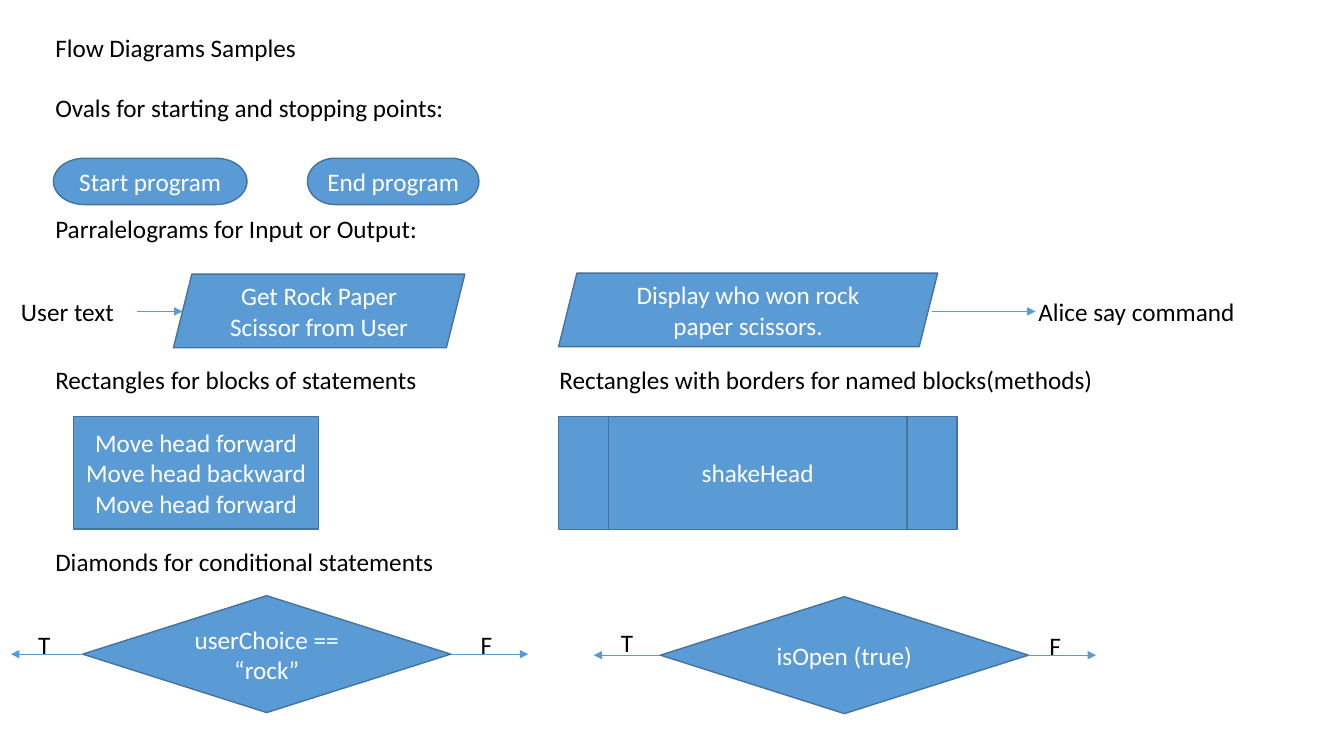
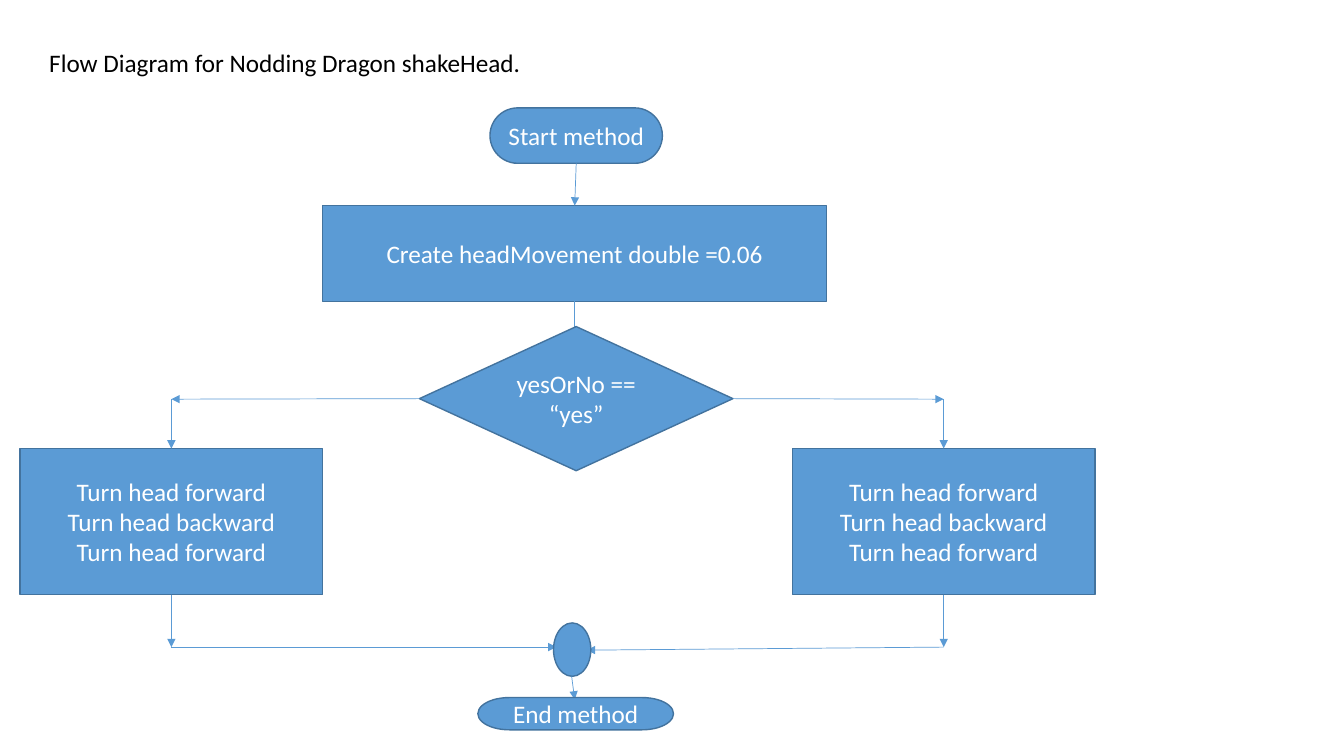
from lxml.etree import SubElement
from pptx import Presentation
from pptx.dml.color import RGBColor
from pptx.enum.shapes import MSO_CONNECTOR, MSO_SHAPE
from pptx.enum.text import MSO_ANCHOR, PP_ALIGN
from pptx.oxml.ns import qn
from pptx.util import Inches, Pt

BLUE = RGBColor(0x5B, 0x9B, 0xD5)
EDGE = RGBColor(0x43, 0x73, 0x9E)
BLACK = RGBColor(0, 0, 0)
WHITE = RGBColor(255, 255, 255)
FONT = "Calibri"
SIZE = Pt(18)

OVAL = MSO_SHAPE.FLOWCHART_TERMINATOR
SLANT = MSO_SHAPE.PARALLELOGRAM
BLOCK = MSO_SHAPE.RECTANGLE
METHOD = MSO_SHAPE.FLOWCHART_PREDEFINED_PROCESS
CHOICE = MSO_SHAPE.FLOWCHART_DECISION
JOIN = MSO_SHAPE.FLOWCHART_CONNECTOR
TOP, LEFT, BOTTOM, RIGHT = range(4)


def write(frame, text, color, align):
    frame.word_wrap = True
    frame.text = text
    for para in frame.paragraphs:
        para.alignment = align
        para.font.name = FONT
        para.font.size = SIZE
        para.font.color.rgb = color


def label(slide, x, y, width, text):
    box = slide.shapes.add_textbox(Inches(x), Inches(y), Inches(width), Inches(0.4))
    write(box.text_frame, text, BLACK, PP_ALIGN.LEFT)


def node(slide, kind, x, y, width, height, text=""):
    shape = slide.shapes.add_shape(
        kind, Inches(x), Inches(y), Inches(width), Inches(height))
    shape.shadow.inherit = False
    shape.fill.solid()
    shape.fill.fore_color.rgb = BLUE
    shape.line.color.rgb = EDGE
    shape.line.width = Pt(1)
    if text:
        shape.text_frame.vertical_anchor = MSO_ANCHOR.MIDDLE
        write(shape.text_frame, text, WHITE, PP_ALIGN.CENTER)
    return shape


def arrow(slide, start, end):
    """Draw an arrow; each end is an (x, y) point or a (shape, side) pair."""
    line = slide.shapes.add_connector(MSO_CONNECTOR.STRAIGHT, 0, 0, 0, 0)
    if hasattr(start[0], "text_frame"):
        line.begin_connect(*start)
    else:
        line.begin_x, line.begin_y = map(Inches, start)
    if hasattr(end[0], "text_frame"):
        line.end_connect(*end)
    else:
        line.end_x, line.end_y = map(Inches, end)
    line.line.color.rgb = BLUE
    line.line.width = Pt(0.5)
    props = line._element.spPr
    SubElement(props.find(qn("a:ln")), qn("a:tailEnd"), type="triangle")
    SubElement(props, qn("a:effectLst"))


def ovals(slide, x, y):
    label(slide, x, y, 5, "Ovals for starting and stopping points:")
    node(slide, OVAL, x + 0.08, y + 0.7, 1.92, 0.46, "Start program")
    node(slide, OVAL, x + 2.6, y + 0.7, 1.7, 0.46, "End program")


def slants(slide, x, y):
    label(slide, x, y, 5, "Parralelograms for Input or Output:")
    node(slide, SLANT, x + 1.27, y + 0.65, 2.89, 0.73,
         "Get Rock Paper Scissor from User")
    node(slide, SLANT, x + 5.09, y + 0.64, 3.76, 0.73,
         "Display who won rock paper scissors.")
    mid = y + 1.02
    label(slide, x - 0.34, mid - 0.2, 1.25, "User text")
    arrow(slide, (x + 0.91, mid), (x + 1.36, mid))
    arrow(slide, (x + 8.79, mid), (x + 9.82, mid))
    label(slide, x + 9.75, mid - 0.2, 2.41, "Alice say command")


def blocks(slide, x, y):
    label(slide, x, y, 4.5, "Rectangles for blocks of statements")
    node(slide, BLOCK, x + 0.28, y + 0.56, 2.43, 1.12,
         "Move head forward\nMove head backward\nMove head forward")
    label(slide, x + 5, y, 6, "Rectangles with borders for named blocks(methods)")
    node(slide, METHOD, x + 5.09, y + 0.56, 3.95, 1.12, "shakeHead")


def choice(slide, x, y, text, yes, no):
    """Draw a diamond with T and F exits; yes and no are (reach, label x, label y)."""
    shape = node(slide, CHOICE, x, y, 3.65, 1.16, text)
    for side, mark, (reach, dx, dy) in ((LEFT, "T", yes), (RIGHT, "F", no)):
        arrow(slide, (shape, side), (x + reach, y + 0.58))
        label(slide, x + dx, y + dy, 0.34, mark)


def choices(slide, x, y):
    label(slide, x, y, 5, "Diamonds for conditional statements")
    choice(slide, x + 0.37, y + 0.54, "userChoice == “rock”",
           (-0.71, -0.54, 0.28), (4.42, 3.85, 0.28))
    choice(slide, x + 6.1, y + 0.55, "isOpen (true)",
           (-0.66, -0.49, 0.25), (4.32, 3.76, 0.28))


def samples(slide):
    left = 0.45
    label(slide, left, 0.27, 5, "Flow Diagrams Samples")
    ovals(slide, left, 0.87)
    slants(slide, left, 2.07)
    blocks(slide, left, 3.57)
    choices(slide, left, 5.37)


def branch(slide, x, y, fork, side, goal):
    """Lead from one side of the fork through a block of turns to the goal."""
    block = node(slide, BLOCK, x, y, 3, 1.45,
                 "Turn head forward\nTurn head backward\nTurn head forward")
    bend, foot = (x + 1.5, y - 0.49), (x + 1.5, y + 1.97)
    arrow(slide, (fork, side), bend)
    arrow(slide, bend, (block, TOP))
    arrow(slide, (block, BOTTOM), foot)
    arrow(slide, foot, goal)


def nodding(slide):
    label(slide, 0.39, 0.42, 5.7, "Flow Diagram for Nodding Dragon shakeHead.")
    start = node(slide, OVAL, 4.86, 1.07, 1.71, 0.55, "Start method")
    create = node(slide, BLOCK, 3.2, 2.04, 5, 0.95,
                  "Create headMovement double =0.06")
    arrow(slide, (start, BOTTOM), (create, TOP))
    arrow(slide, (create, BOTTOM), (5.7, 3.49))
    fork = node(slide, CHOICE, 4.16, 3.24, 3.11, 1.43, "yesOrNo == “yes”")
    branch(slide, 0.2, 4.45, fork, LEFT, (5.52, 6.42))
    branch(slide, 7.86, 4.45, fork, RIGHT, (5.82, 6.45))
    node(slide, JOIN, 5.49, 6.18, 0.37, 0.53)
    arrow(slide, (5.67, 6.71), (5.7, 6.94))
    node(slide, OVAL, 4.74, 6.92, 1.94, 0.32, "End method")


def main():
    deck = Presentation()
    deck.slide_width, deck.slide_height = Inches(13.33), Inches(7.5)
    for draw in (samples, nodding):
        draw(deck.slides.add_slide(deck.slide_layouts[6]))
    deck.save("out.pptx")


if __name__ == "__main__":
    main()
